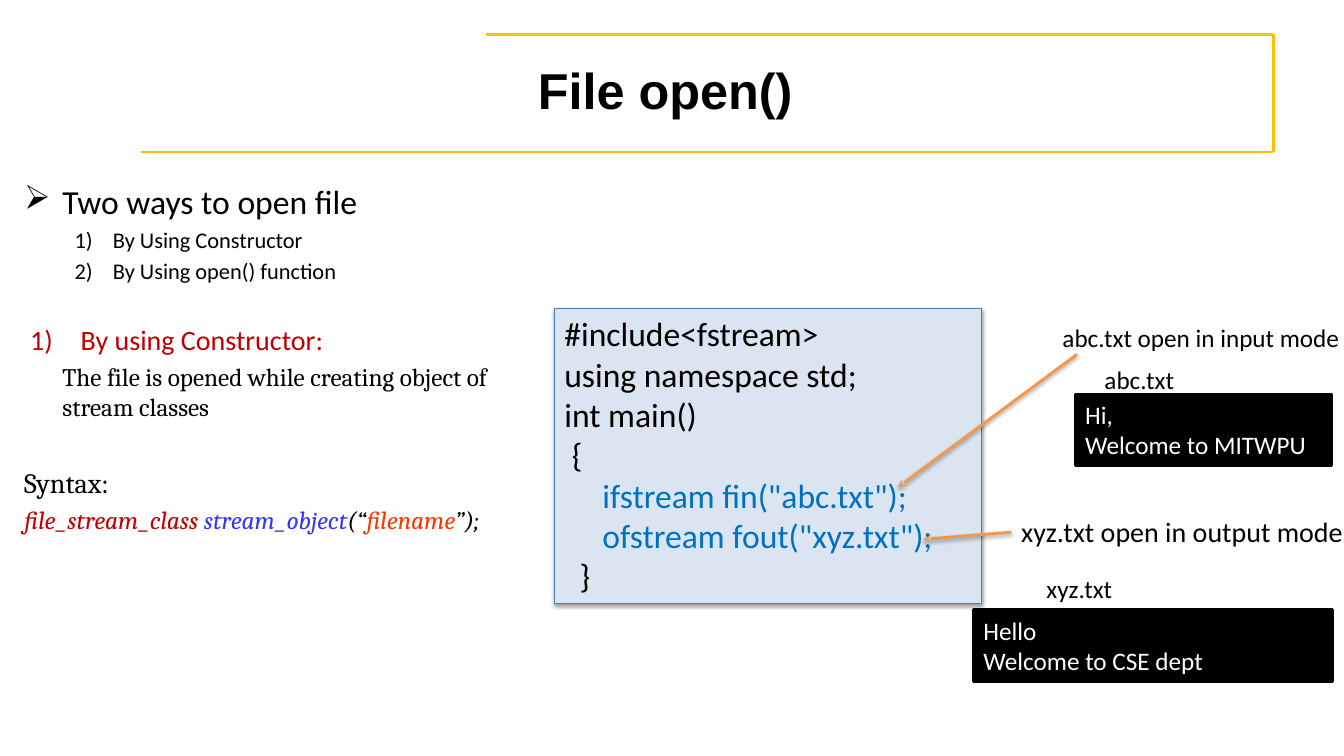
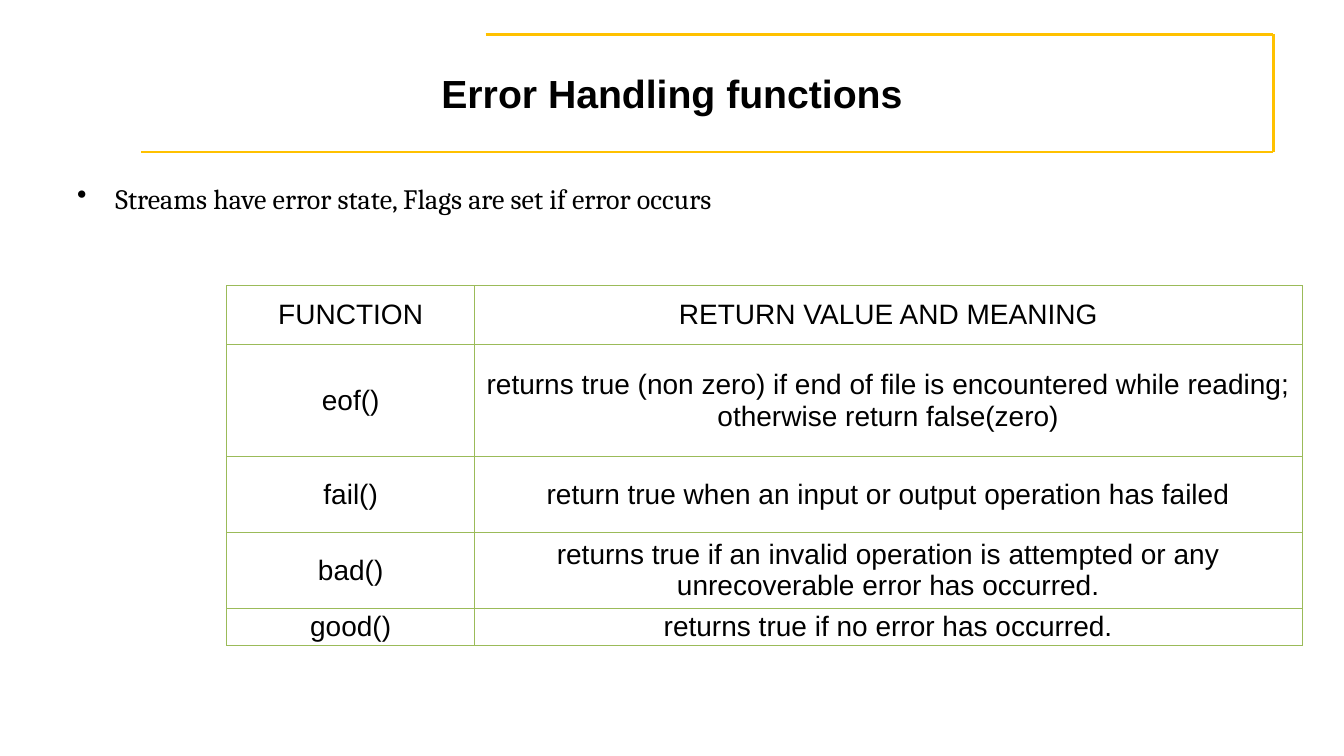
import dataclasses

import lxml.etree
import pptx
import pptx.dml.color
import pptx.enum.shapes
import pptx.enum.text
import pptx.oxml.ns
import pptx.util

ALIGN = pptx.enum.text.PP_ALIGN
ANCHOR = pptx.enum.text.MSO_ANCHOR


@dataclasses.dataclass(frozen=True)
class Theme:
    black: str = "000000"
    white: str = "FFFFFF"
    gold: str = "FFC100"
    red: str = "C00000"
    orange_red: str = "FF3300"
    violet: str = "3333FF"
    code_blue: str = "0070C0"
    panel: str = "DAE5F1"
    panel_edge: str = "4A7DBA"
    arrow: str = "F79646"
    table_edge: str = "9BBB59"
    heading: str = "Arial"
    sans: str = "Calibri"
    serif: str = "Cambria"
    title: int = 36
    subtitle: int = 28
    large: int = 24
    medium: int = 20
    body: int = 18
    small: int = 16


THEME = Theme()


@dataclasses.dataclass
class Line:
    runs: object
    size: int = THEME.body
    font: str = THEME.sans
    color: str = THEME.black
    bold: bool = False
    italic: bool = False
    align: object = None
    level: int = 0
    before: float = 0
    margin: float = 0
    hanging: float = 0
    bullet: str = ""


def rgb(color):
    return pptx.dml.color.RGBColor.from_string(color)


def add_element(parent, tag, **attributes):
    return lxml.etree.SubElement(parent, pptx.oxml.ns.qn("a:" + tag), attributes)


def add_color(parent, color):
    return add_element(add_element(parent, "solidFill"), "srgbClr", val=color)


class Deck:
    COLUMNS = 160
    ROWS = 90

    def __init__(self, theme):
        self.theme = theme
        self.presentation = pptx.Presentation()
        self.presentation.slide_width = pptx.util.Inches(13.33)
        self.presentation.slide_height = pptx.util.Inches(7.5)
        self.slide = None

    def across(self, columns):
        return round(self.presentation.slide_width * columns / self.COLUMNS)

    def down(self, rows):
        return round(self.presentation.slide_height * rows / self.ROWS)

    def box(self, left, top, width, height):
        return self.across(left), self.down(top), self.across(width), self.down(height)

    def add_slide(self, title, size, left, top):
        self.slide = self.presentation.slides.add_slide(self.presentation.slide_layouts[6])
        corners = [(57.8, 4.1), (151.6, 4.1), (151.6, 18.1), (16.8, 18.1)]
        for start, end in zip(corners, corners[1:]):
            self.connector(start, end, self.theme.gold)
        line = Line(title, size, self.theme.heading, bold=True, align=ALIGN.CENTER)
        self.text((left, top, 144, 15), [line], anchor=ANCHOR.MIDDLE)

    def effects(self, shape, shadow):
        effect_list = add_element(shape._element.spPr, "effectLst")
        if shadow:
            outer = add_element(effect_list, "outerShdw", blurRad="39370", dist="20320",
                                dir="5400000", rotWithShape="0")
            color = add_element(outer, "srgbClr", val=self.theme.black)
            add_element(color, "alpha", val="38000")

    def connector(self, start, end, color, arrow=False, source=None):
        connector = self.slide.shapes.add_connector(
            pptx.enum.shapes.MSO_CONNECTOR.STRAIGHT,
            self.across(start[0]), self.down(start[1]), self.across(end[0]), self.down(end[1]))
        if source is not None:
            connector.begin_connect(source, 1)
        connector.line.color.rgb = rgb(color)
        connector.line.width = pptx.util.Pt(2)
        if arrow:
            add_element(connector._element.spPr.get_or_add_ln(), "tailEnd", type="stealth")
        self.effects(connector, arrow)

    def set_lines(self, frame, lines, anchor):
        frame.vertical_anchor = anchor
        for index, line in enumerate(lines):
            paragraph = frame.paragraphs[0] if index == 0 else frame.add_paragraph()
            paragraph.level = line.level
            if line.align is not None:
                paragraph.alignment = line.align
            if line.before:
                paragraph.space_before = pptx.util.Pt(line.before)
            properties = paragraph._p.get_or_add_pPr()
            properties.set("marL", str(pptx.util.Inches(line.margin)))
            properties.set("indent", str(pptx.util.Inches(-line.hanging)))
            if line.bullet:
                add_element(add_element(properties, "buClr"), "srgbClr", val=line.color)
                if line.bullet == "1)":
                    add_element(properties, "buAutoNum", type="arabicParenR")
                else:
                    add_element(properties, "buChar", char=line.bullet)
            font = paragraph.font
            font.name = line.font
            font.size = pptx.util.Pt(line.size)
            font.bold = line.bold
            font.italic = line.italic
            font.color.rgb = rgb(line.color)
            if isinstance(line.runs, str):
                paragraph.add_run().text = line.runs
                continue
            for text, color in line.runs:
                run = paragraph.add_run()
                run.text = text
                run.font.color.rgb = rgb(color)

    def text(self, place, lines, anchor=ANCHOR.TOP):
        shape = self.slide.shapes.add_textbox(*self.box(*place))
        shape.text_frame.word_wrap = True
        self.set_lines(shape.text_frame, lines, anchor)
        return shape

    def label(self, place, text, size=THEME.body):
        shape = self.text(place, [Line(text, size)])
        shape.text_frame.word_wrap = False
        shape.text_frame.margin_right = 0
        return shape

    def panel(self, place, lines, fill, edge, weight, shadow=False):
        shape = self.slide.shapes.add_shape(
            pptx.enum.shapes.MSO_SHAPE.RECTANGLE, *self.box(*place))
        shape.fill.solid()
        shape.fill.fore_color.rgb = rgb(fill)
        shape.line.color.rgb = rgb(edge)
        shape.line.width = pptx.util.Pt(weight)
        if shadow:
            self.effects(shape, True)
        else:
            shape.shadow.inherit = False
        for line in lines:
            line.align = ALIGN.LEFT
        self.set_lines(shape.text_frame, lines, ANCHOR.TOP)

    def console(self, place, texts):
        lines = [Line(text, color=self.theme.white) for text in texts]
        self.panel(place, lines, self.theme.black, self.theme.black, 2)

    def table(self, left, top, columns, rows, records):
        table = self.slide.shapes.add_table(
            len(rows), len(columns), *self.box(left, top, sum(columns), sum(rows))).table
        table.first_row = False
        table.horz_banding = False
        for column, width in zip(table.columns, columns):
            column.width = self.across(width)
        for row, height, record in zip(table.rows, rows, records):
            row.height = self.down(height)
            for cell, content in zip(row.cells, record):
                self.cell(cell, content)

    def cell(self, cell, content):
        cell.margin_left = cell.margin_right = cell.margin_top = cell.margin_bottom = 0
        lines = [Line(text, self.theme.medium, self.theme.heading, align=ALIGN.CENTER)
                 for text in content.split("\n")]
        self.set_lines(cell.text_frame, lines, ANCHOR.MIDDLE)
        cell.vertical_anchor = ANCHOR.MIDDLE
        properties = cell._tc.get_or_add_tcPr()
        for side in ("lnL", "lnR", "lnT", "lnB"):
            add_color(add_element(properties, side, w="9525"), self.theme.table_edge)
        cell.fill.background()


def file_open(deck):
    theme = deck.theme
    deck.add_slide("File open()", theme.title, 7.2, 3.1)
    item = dict(size=theme.small, level=1, before=3.2, margin=0.88, hanging=0.38, bullet="1)")
    syntax = [("file_stream_class ", theme.red), ("stream_object", theme.violet),
              ("(“", theme.black), ("filename", theme.orange_red), ("”);", theme.black)]
    deck.text((1.7, 21, 58.2, 64), [
        Line("Two ways to open file", theme.large, margin=0.38, hanging=0.38, bullet="➢"),
        Line("By Using Constructor", **item),
        Line("By Using open() function", **item),
        Line("By using Constructor:", theme.medium, color=theme.red, before=27,
             margin=0.56, hanging=0.5, bullet="1)"),
        Line("The file is opened while creating object of stream classes",
             font=theme.serif, before=4, margin=0.38),
        Line("Syntax:", theme.medium, theme.serif, before=31),
        Line(syntax, font=theme.serif, italic=True, before=3.6),
    ])
    code = [
        ("#include<fstream>", theme.black),
        ("using namespace std;", theme.black),
        ("int main()", theme.black),
        (" {", theme.black),
        ("     ifstream fin(\"abc.txt\");", theme.code_blue),
        ("     ofstream fout(\"xyz.txt\");", theme.code_blue),
        ("  }", theme.black),
    ]
    deck.panel((66, 36.7, 50.9, 35.2),
               [Line(text, theme.large, color=color) for text, color in code],
               theme.panel, theme.panel_edge, 0.75, shadow=True)
    deck.console((128, 46.9, 30.5, 8.5), ["Hi,", "Welcome to MITWPU"])
    deck.console((115.9, 72.6, 42.7, 8.5), ["Hello", "Welcome to CSE dept"])
    deck.label((123.4, 67.7, 14, 4.8), "xyz.txt")
    deck.label((125.3, 37.8, 34.7, 4.8), "abc.txt open in input mode")
    deck.connector((128.2, 42.2), (106.9, 58), theme.arrow, arrow=True)
    output_mode = deck.label((120.4, 60.7, 39.6, 5.3), "xyz.txt open in output mode",
                             theme.medium)
    deck.connector((120.4, 63.35), (109.9, 64.2), theme.arrow, arrow=True, source=output_mode)
    deck.label((130.3, 42.8, 14, 4.8), "abc.txt")


def error_handling(deck):
    theme = deck.theme
    deck.add_slide("Error Handling functions", theme.subtitle, 8, 3.6)
    deck.text((8, 21, 144, 62), [
        Line("Streams have error state, Flags are set if error occurs", theme.medium,
             theme.serif, margin=0.38, hanging=0.38, bullet="•")])
    deck.table(27, 34, [29.5, 98.5], [7, 13.4, 9, 9, 4.5], [
        ("FUNCTION", "RETURN VALUE AND MEANING"),
        ("eof()", "returns true (non zero) if end of file is encountered while reading;\n"
                  "otherwise return false(zero)"),
        ("fail()", "return true when an input or output operation has failed"),
        ("bad()", "returns true if an invalid operation is attempted or any "
                  "unrecoverable error has occurred."),
        ("good()", "returns true if no error has occurred."),
    ])


def main():
    deck = Deck(THEME)
    file_open(deck)
    error_handling(deck)
    deck.presentation.save("out.pptx")


if __name__ == "__main__":
    main()
